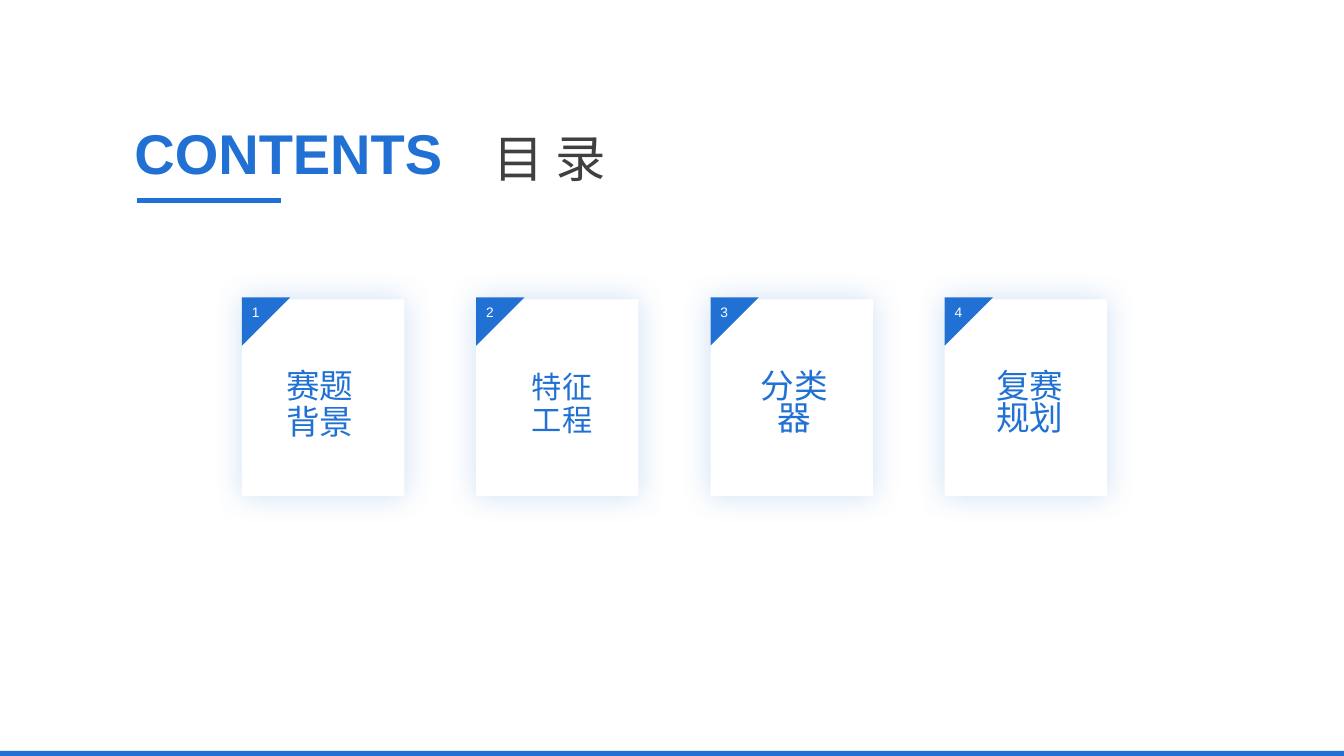
from dataclasses import dataclass

from lxml import etree
from pptx import Presentation
from pptx.dml.color import RGBColor
from pptx.enum.shapes import MSO_CONNECTOR, MSO_SHAPE
from pptx.enum.text import MSO_ANCHOR, MSO_AUTO_SIZE, PP_ALIGN
from pptx.oxml.ns import qn
from pptx.util import Inches, Pt

RECT, CORNER = MSO_SHAPE.RECTANGLE, MSO_SHAPE.RIGHT_TRIANGLE
STRAIGHT = MSO_CONNECTOR.STRAIGHT
LEFT, CENTER = PP_ALIGN.LEFT, PP_ALIGN.CENTER
TOP, MIDDLE = MSO_ANCHOR.TOP, MSO_ANCHOR.MIDDLE
FIXED = MSO_AUTO_SIZE.NONE
TITLE_ONLY = 5


@dataclass(frozen=True)
class Theme:
    font: str = "Arial"
    blue: str = "2071D3"
    white: str = "FFFFFF"
    gray: str = "404040"
    title: float = 40
    sub: float = 36
    label: float = 24
    small: float = 21.6
    number: float = 9.8


THEME = Theme()


@dataclass(frozen=True)
class Box:
    left: float
    top: float
    width: float
    height: float

    def place(self) -> tuple:
        return tuple(map(Inches, (self.left, self.top, self.width, self.height)))


@dataclass(frozen=True)
class Style:
    size: float
    color: str
    spacing: float
    before: float = 0
    bold: bool = False
    align: PP_ALIGN = CENTER
    anchor: MSO_ANCHOR = MIDDLE
    wrap: bool = True


@dataclass(frozen=True)
class Card:
    label: str
    box: Box
    size: float
    spacing: float


CARDS = (
    Card("赛题背景", Box(2.61, 3.73, 1.12, 0.59), THEME.label, 0.9),
    Card("特征工程", Box(5.09, 3.6, 0.97, 0.84), THEME.small, 0.9),
    Card("分类器", Box(7.3, 3.6, 1.16, 0.84), THEME.label, 0.8),
    Card("复赛规划", Box(9.7, 3.6, 1.03, 0.84), THEME.label, 0.8),
)
FIRST, LAST = 2.4, 9.37
PITCH = (LAST - FIRST) / (len(CARDS) - 1)


def write(shape, text: str, style: Style) -> None:
    frame = shape.text_frame
    frame.auto_size = FIXED
    frame.word_wrap = style.wrap
    frame.vertical_anchor = style.anchor
    para = frame.paragraphs[0]
    para.text = text
    para.alignment = style.align
    para.line_spacing = style.spacing
    para.space_before = Pt(style.before)
    font = para.font
    font.name, font.size, font.bold = THEME.font, Pt(style.size), style.bold
    font.color.rgb = RGBColor.from_string(style.color)


def add_text(slide, box: Box, text: str, style: Style) -> None:
    write(slide.shapes.add_textbox(*box.place()), text, style)


def add_fill(slide, kind: MSO_SHAPE, box: Box, color: str):
    shape = slide.shapes.add_shape(kind, *box.place())
    shape.shadow.inherit = False
    shape.fill.solid()
    shape.fill.fore_color.rgb = RGBColor.from_string(color)
    shape.line.fill.background()
    return shape


def add_glow(shape) -> None:
    """Give the shape a soft, centred blue shadow."""
    effects = shape._element.spPr.find(qn("a:effectLst"))
    shadow = etree.SubElement(effects, qn("a:outerShdw"), blurRad=str(Pt(22)),
                              dist="0", dir="0", algn="ctr", rotWithShape="0")
    color = etree.SubElement(shadow, qn("a:srgbClr"), val=THEME.blue)
    etree.SubElement(color, qn("a:alpha"), val="22000")


def add_rule(slide) -> None:
    y = Inches(1.99)
    rule = slide.shapes.add_connector(STRAIGHT, Inches(1.36), y, Inches(2.79), y)
    rule.line.color.rgb = RGBColor.from_string(THEME.blue)
    rule.line.width = Pt(3)
    etree.SubElement(rule._element.spPr, qn("a:effectLst"))


def add_card(slide, index: int, card: Card) -> None:
    left = FIRST + index * PITCH
    add_glow(add_fill(slide, RECT, Box(left, 2.97, 1.61, 1.95), THEME.white))
    add_text(slide, card.box, card.label,
             Style(card.size, THEME.blue, card.spacing, before=10))
    corner = add_fill(slide, CORNER, Box(left, 2.95, 0.48, 0.48), THEME.blue)
    corner._element.spPr.xfrm.set("flipV", "1")
    add_text(slide, Box(left, 2.92, 0.27, 0.33), str(index + 1),
             Style(THEME.number, THEME.white, 1.3, align=LEFT, anchor=TOP, wrap=False))


def main() -> None:
    deck = Presentation()
    deck.slide_width, deck.slide_height = Inches(13.33), Inches(7.5)
    slide = deck.slides.add_slide(deck.slide_layouts[TITLE_ONLY])

    add_fill(slide, RECT, Box(0, 7.45, 13.33, 0.05), THEME.blue)
    title = slide.shapes.title
    title.left, title.top, title.width, title.height = Box(1.2, 1.03, 3.32, 0.89).place()
    write(title, "CONTENTS", Style(THEME.title, THEME.blue, 1.1, bold=True))
    add_text(slide, Box(4.63, 1.03, 1.65, 0.89), "目 录",
             Style(THEME.sub, THEME.gray, 1.3))
    add_rule(slide)
    for index, card in enumerate(CARDS):
        add_card(slide, index, card)
    deck.save("out.pptx")


if __name__ == "__main__":
    main()
